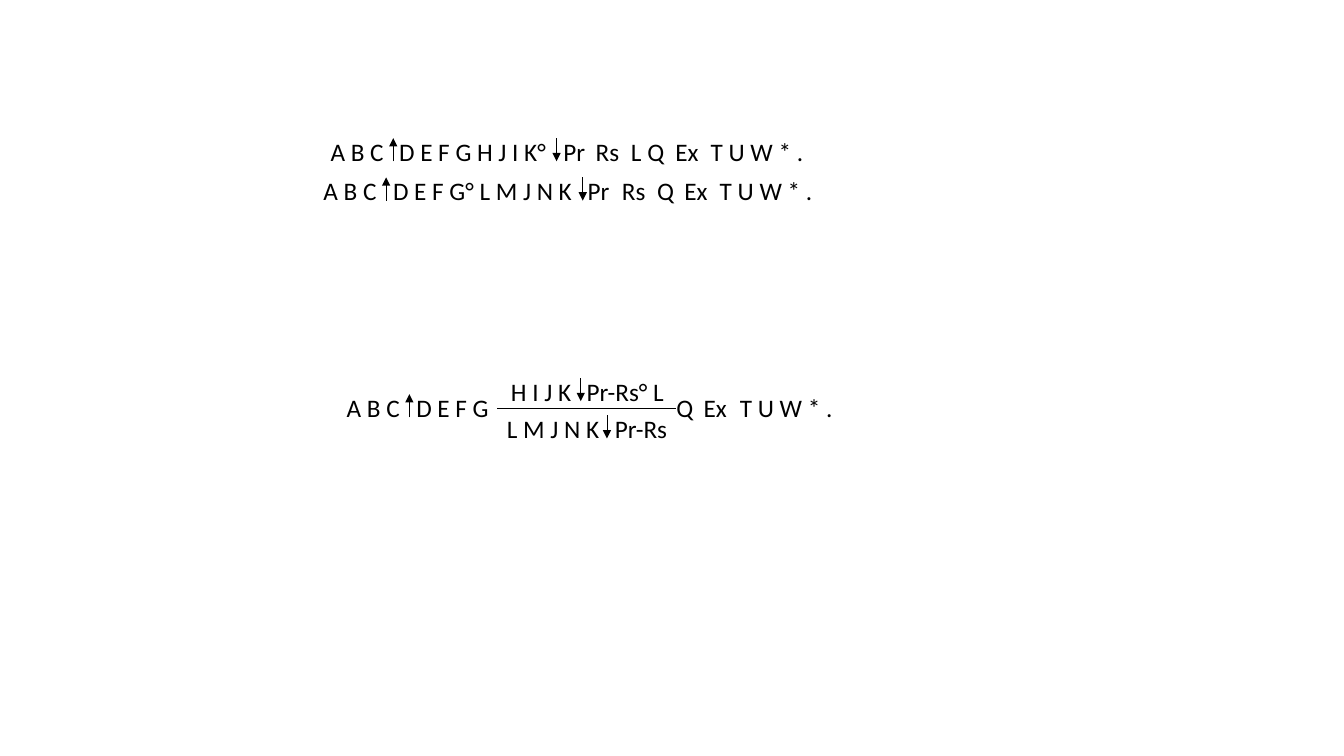
from lxml.etree import SubElement
from pptx import Presentation
from pptx.dml.color import RGBColor
from pptx.enum.shapes import MSO_CONNECTOR
from pptx.enum.text import MSO_ANCHOR, PP_ALIGN
from pptx.oxml.ns import qn
from pptx.util import Inches, Pt

CELL = 0.1  # inches per grid column and row
INSET = 1  # cells between box edge and text
LINE_HEIGHT = 4
ARROW_OFFSET, ARROW_LENGTH = 0.7, 2.3
UP_ARROW_OFFSET = 7.2
INK = "000000"

# text, left, top, width, columns of the tab stops, column of the down arrow
FULL_FORMULAS = [
    ("A B C\tD E F G H J I K°\tPr\tRs\tL Q\tEx\tT U W * .",
     31.8, 13, 51.1, [39.6, 55.9, 59.1, 62.6, 67, 70.5], 55.2),
    ("A B C\tD E F G° L M J N K\tPr\tRs\tQ\tEx\tT U W * .",
     31.1, 16.9, 52.1, [39, 58.3, 61.7, 65.2, 67.9, 71.4], 57.8),
    ("A B C\tD E F G\tQ\tEx\tT U W * .",
     33.4, 38.4, 51.1, [41.3, 67.1, 69.8, 73.4], None),
]
FRACTION_PARTS = [
    ("H I J K\tPr-Rs° L", 49.7, 36.8, 17.6, [58.2], 57.6),
    ("L M J N K\tPr-Rs", 49.3, 40.5, 18.3, [61], 60.2),
]


def cells(count):
    """Convert grid cells to a slide length."""
    return Inches(count * CELL)


def colour(code):
    """Turn a hex string into a colour."""
    return RGBColor.from_string(code)


def add_text(page, text, left, top, width, stops=(), size=18, font="Calibri", ink=INK):
    """Add one line of text with tab stops at the given slide columns."""
    box = page.shapes.add_textbox(*map(cells, (left, top, width, LINE_HEIGHT)))
    frame = box.text_frame
    frame.word_wrap = True
    frame.vertical_anchor = MSO_ANCHOR.TOP
    para = frame.paragraphs[0]
    para.alignment = PP_ALIGN.LEFT
    tab_list = SubElement(para._p.get_or_add_pPr(), qn("a:tabLst"))
    for stop in stops:
        position = cells(stop - left - INSET)
        SubElement(tab_list, qn("a:tab"), pos=str(int(position)), algn="l")
    span = para.add_run()
    span.text = text
    span.font.size = Pt(size)
    span.font.name = font
    span.font.color.rgb = colour(ink)


def add_line(page, start, end, arrow=False):
    """Draw a thin line between two grid points, with an arrowhead on request."""
    line = page.shapes.add_connector(MSO_CONNECTOR.STRAIGHT, *map(cells, start + end))
    line.line.color.rgb = colour(INK)
    line.line.width = Pt(0.5)
    if arrow:
        SubElement(line.line._get_or_add_ln(), qn("a:tailEnd"), type="triangle")
    SubElement(line._element.spPr, qn("a:effectLst"))


def add_arrow(page, column, row, up=False):
    """Draw an upright arrow in the text line whose box starts at row."""
    top = (column, row + ARROW_OFFSET)
    bottom = (column, row + ARROW_OFFSET + ARROW_LENGTH)
    start, end = (bottom, top) if up else (top, bottom)
    add_line(page, start, end, arrow=True)


def add_formula(page, text, left, top, width, stops, down, up=False):
    """Add a formula line together with its arrows."""
    add_text(page, text, left, top, width, stops=stops)
    if up:
        add_arrow(page, left + UP_ARROW_OFFSET, top, up=True)
    if down is not None:
        add_arrow(page, down, top)


def main():
    """Build the slide and save it."""
    deck = Presentation()
    deck.slide_width, deck.slide_height = Inches(13.33), Inches(7.5)
    page = deck.slides.add_slide(deck.slide_layouts[6])
    for formula in FULL_FORMULAS:
        add_formula(page, *formula, up=True)
    for part in FRACTION_PARTS:
        add_formula(page, *part)
    add_line(page, (49.3, 40.5), (67, 40.5))
    deck.save("out.pptx")


main()
